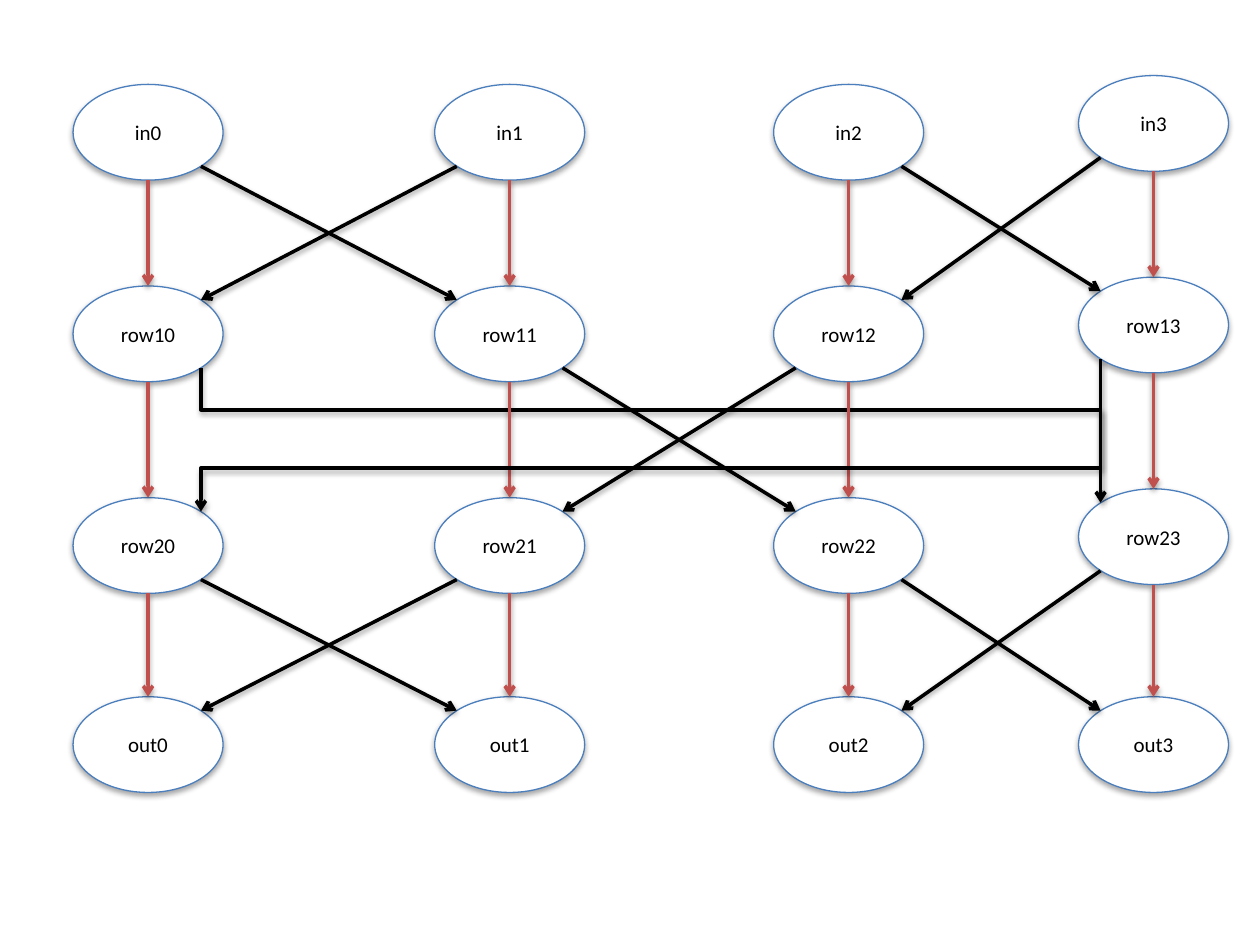
"""Draw a four-lane butterfly network with straight and crossing links."""
from pptx import Presentation, util as u
from pptx.dml.color import RGBColor
from pptx.enum import shapes, text
from pptx.oxml import parse_xml
from pptx.oxml.ns import nsdecls, qn
from lxml import etree

theme = {
    "fill": RGBColor.from_string("FFFFFF"),
    "edge": RGBColor.from_string("4B7EBC"),
    "lane": RGBColor.from_string("C0504D"),
    "cross": RGBColor.from_string("000000"),
    "text": RGBColor.from_string("000000"),
    "font": "Calibri",
    "size": u.Pt(12),
}
lefts = [0.58, 3.45, 6.14, 8.56]
tops = [0.67, 2.27, 3.95, 5.53]
names = ["in", "row1", "row2", "out"]
wide, high = 1.19, 0.76
side, drop = 0.42, 0.27
rise = 0.07
bends = {0: 0.311, 3: 0.713}

deck = Presentation()
deck.slide_width, deck.slide_height = u.Inches(10), u.Inches(7.5)
slide = deck.slides.add_slide(deck.slide_layouts[6])


def shade(item, dist, alpha):
    item._element.spPr.append(parse_xml(
        f'<a:effectLst {nsdecls("a")}><a:outerShdw blurRad="40000" dist="{dist}" '
        f'dir="5400000" rotWithShape="0"><a:srgbClr val="000000">'
        f'<a:alpha val="{alpha}"/></a:srgbClr></a:outerShdw></a:effectLst>'))


def link(kind, start, end, color):
    line = slide.shapes.add_connector(kind, *[u.Inches(v) for v in (*start, *end)])
    line.line.color.rgb = color
    line.line.width = u.Pt(2)
    etree.SubElement(line.line._get_or_add_ln(), qn("a:tailEnd"), type="arrow")
    shade(line, 20000, 38000)
    return line


mids = {}
for row, name in enumerate(names):
    for col, left in enumerate(lefts):
        top = tops[row] - (rise if col == 3 and row < 3 else 0)
        mids[row, col] = left + wide / 2, top + high / 2
        node = slide.shapes.add_shape(
            shapes.MSO_SHAPE.OVAL, *[u.Inches(v) for v in (left, top, wide, high)])
        node.fill.solid()
        node.fill.fore_color.rgb = theme["fill"]
        node.line.color.rgb = theme["edge"]
        node.line.width = u.Pt(0.75)
        shade(node, 23000, 35000)
        frame = node.text_frame
        frame.vertical_anchor = text.MSO_ANCHOR.MIDDLE
        para = frame.paragraphs[0]
        para.alignment = text.PP_ALIGN.CENTER
        run = para.add_run()
        run.text = f"{name}{col}"
        run.font.name = theme["font"]
        run.font.size = theme["size"]
        run.font.color.rgb = theme["text"]

straight, elbow = shapes.MSO_CONNECTOR.STRAIGHT, shapes.MSO_CONNECTOR.ELBOW
for row in range(3):
    for col in range(4):
        x, y = mids[row, col]
        low = mids[row + 1, col]
        link(straight, (x, y + high / 2), (low[0], low[1] - high / 2), theme["lane"])

        mate = 3 - col if row == 1 else col ^ 1
        far = mids[row + 1, mate]
        way = 1 if mate > col else -1
        x1, y1 = x + way * side, y + drop
        x2, y2 = far[0] - way * side, far[1] - drop
        if abs(mate - col) == 1:
            link(straight, (x1, y1), (x2, y2), theme["cross"])
            continue

        if col == 3:
            x2 = far[0] + side
        cx, cy = (x1 + x2) / 2, (y1 + y2) / 2
        half, span = way * (y2 - y1) / 2, abs(x2 - x1) / 2
        bent = link(elbow, (cx + half, cy - span), (cx - half, cy + span), theme["cross"])
        form = bent._element.spPr
        form.find(qn("a:xfrm")).set("rot", "16200000" if way > 0 else "5400000")
        guides = form.find(qn("a:prstGeom")).get_or_add_avLst()
        etree.SubElement(guides, qn("a:gd"), name="adj1",
                         fmla=f"val {round(bends[col] * 100000)}")

deck.save("out.pptx")
